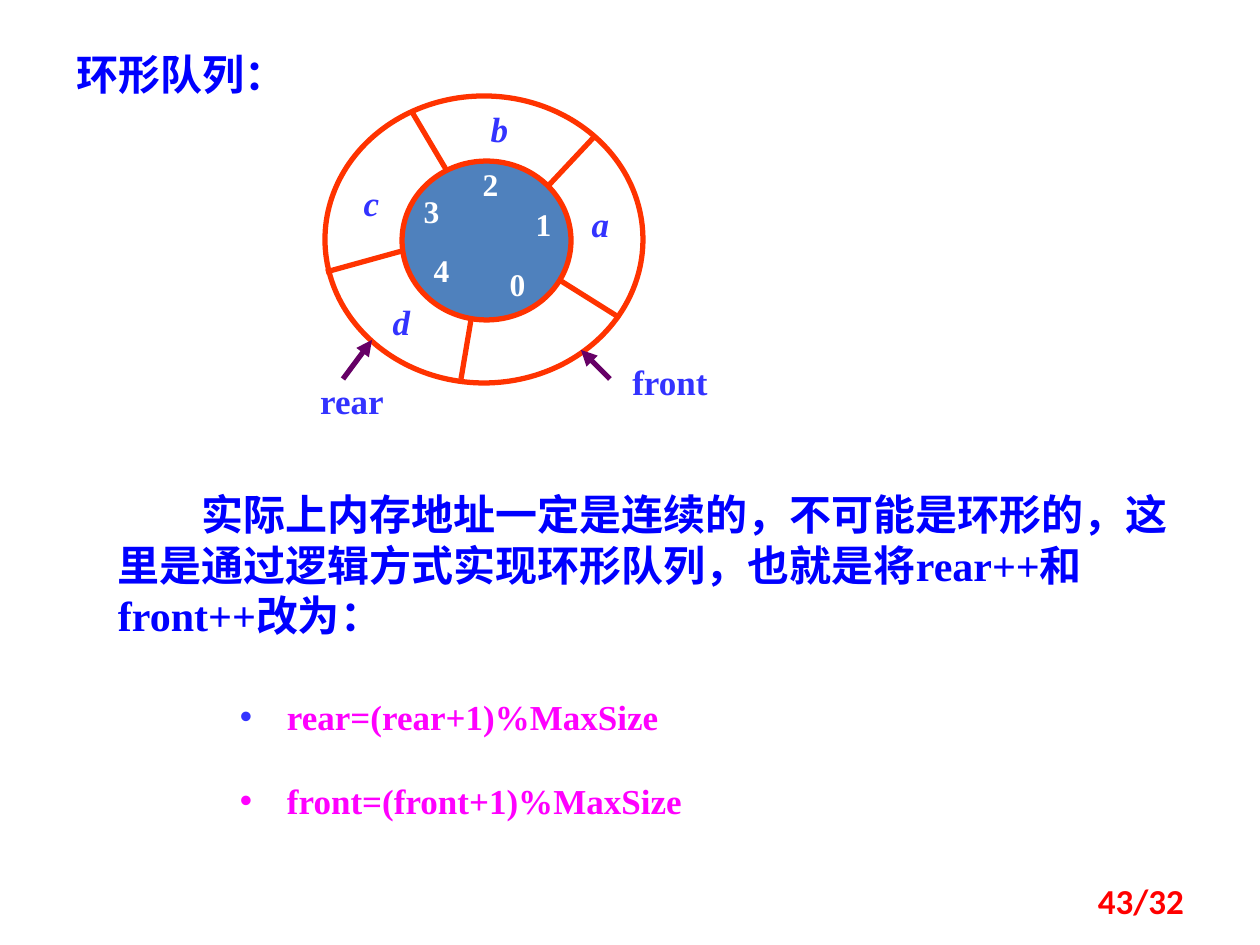
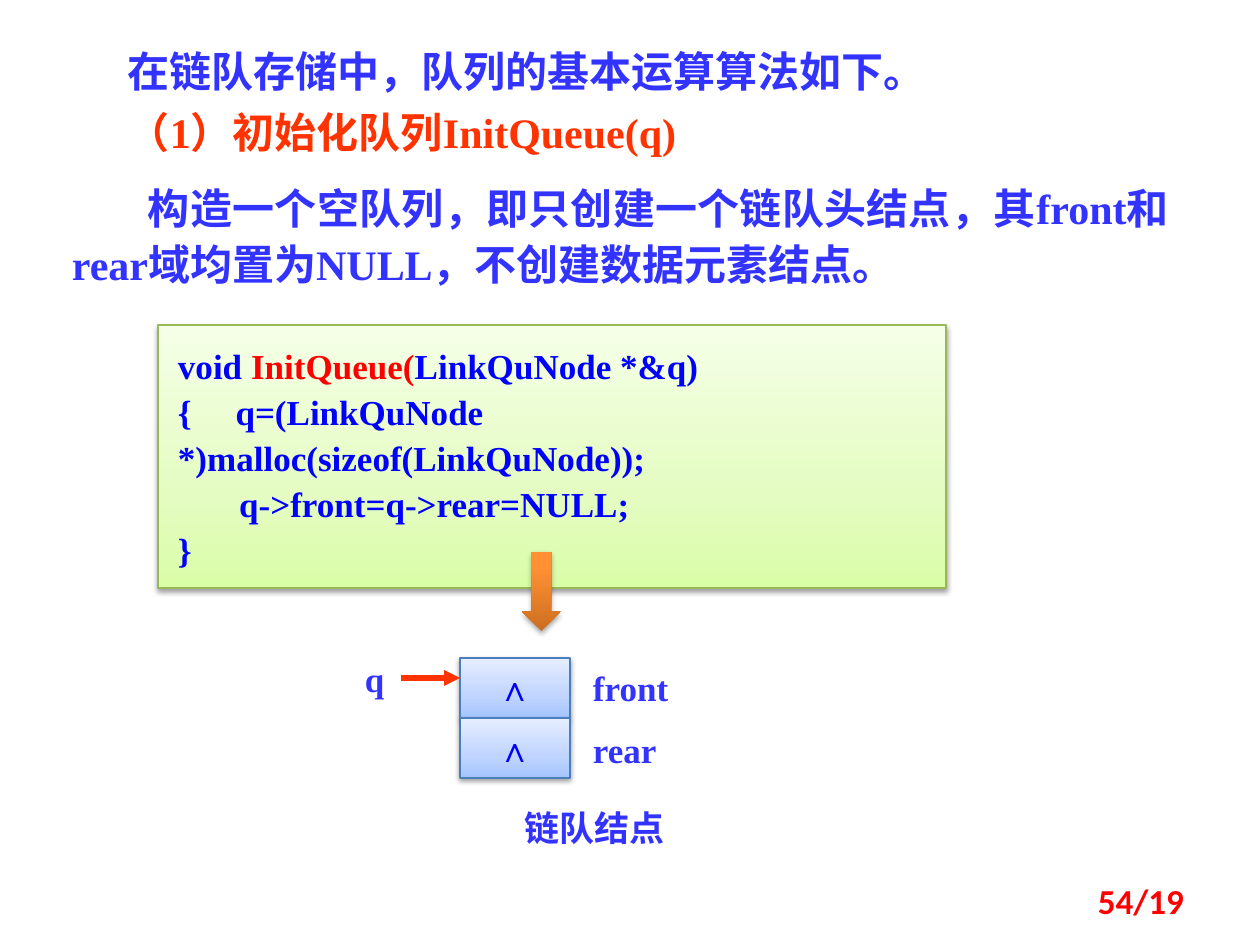
"""Build two slides on circular and linked queues."""
from dataclasses import dataclass

from lxml import etree
from pptx import Presentation
from pptx.dml.color import RGBColor
from pptx.enum.shapes import MSO_CONNECTOR, MSO_SHAPE
from pptx.enum.text import MSO_ANCHOR, PP_ALIGN
from pptx.oxml.ns import qn
from pptx.util import Emu, Pt

LEFT, CENTER, RIGHT, JUSTIFY = PP_ALIGN.LEFT, PP_ALIGN.CENTER, PP_ALIGN.RIGHT, PP_ALIGN.JUSTIFY
TOP, MIDDLE = MSO_ANCHOR.TOP, MSO_ANCHOR.MIDDLE
ELLIPSE, RECTANGLE, DOWN_ARROW = MSO_SHAPE.OVAL, MSO_SHAPE.RECTANGLE, MSO_SHAPE.DOWN_ARROW
STRAIGHT = MSO_CONNECTOR.STRAIGHT
PX_PER_INCH = 126
SERIF, SANS, CHINESE = "Times New Roman", "Calibri", "Noto Sans CJK SC"
COLORS = {
    "blue": "0000FF", "violet": "3333FF", "orange": "FF3300", "red": "FF0000",
    "magenta": "FF00FF", "purple": "660066", "white": "FFFFFF", "black": "000000",
    "steel": "4F81BD", "cell_line": "4B7EBC", "code_line": "98B955",
}
CODE_FILL = ((0, "DAFDA7"), (35, "E4FCC2"), (100, "F5FFE7"))
CELL_FILL = ((0, "A4C4FF"), (35, "BFD4FF"), (100, "E6EEFF"))
ARROW_FILL = ((0, "CC6E20"), (80, "FF9034"), (100, "FF9136"))


@dataclass(frozen=True)
class Box:
    """A rectangle in px."""
    left: int
    top: int
    width: int
    height: int

    def emu(self) -> tuple:
        """Return the four lengths in EMU."""
        return tuple(map(px, (self.left, self.top, self.width, self.height)))


@dataclass(frozen=True)
class Span:
    """A piece of text in one colour."""
    text: str
    color: str


@dataclass(frozen=True)
class Para:
    """A paragraph with its layout; indents are in px and gaps in points."""
    spans: tuple
    align: PP_ALIGN = LEFT
    spacing: float = 1.0
    before: float = 0
    indent: int = 0
    bullet: str = ""


@dataclass(frozen=True)
class Style:
    """The character style of a box."""
    size: int = 20
    font: str = SERIF
    italic: bool = False


@dataclass(frozen=True)
class Line:
    """A straight line, with an arrowhead at its end if wanted."""
    start: tuple
    end: tuple
    color: str = "orange"
    arrow: bool = False


@dataclass(frozen=True)
class Label:
    """A short centred text without insets."""
    text: str
    box: Box
    color: str = "violet"
    style: Style = Style()


HEADING = Style(24)
DIGIT = Style(18)
ITEM = Style(20, SERIF, True)
SPOKES = (
    Line((561, 281), (620, 318)), Line((549, 185), (595, 136)),
    Line((412, 112), (447, 171)), Line((471, 320), (461, 379)),
    Line((326, 272), (402, 251)),
)
POINTERS = (
    Line((610, 379), (581, 350), "purple", True),
    Line((343, 379), (372, 340), "purple", True),
)
INDEX_PLACES = ((498, 265), (524, 205), (471, 165), (412, 192), (422, 251))
ITEM_PLACES = {"a": (581, 202), "b": (480, 107), "c": (352, 181), "d": (382, 300)}
RING_LABELS = (
    *(Label(str(index), Box(*place, 39, 38), "white", DIGIT)
      for index, place in enumerate(INDEX_PLACES)),
    *(Label(item, Box(*place, 39, 42), style=ITEM) for item, place in ITEM_PLACES.items()),
    Label("front", Box(620, 360, 100, 42)),
    Label("rear", Box(302, 379, 100, 42)),
)


def px(length: int) -> Emu:
    """Turn px into EMU."""
    return Emu(round(length * 914400 / PX_PER_INCH))


def rgb(name: str) -> RGBColor:
    """Return a named colour."""
    return RGBColor.from_string(COLORS[name])


def add_color(parent: etree._Element, value: str) -> etree._Element:
    """Append an RGB colour element."""
    return etree.SubElement(parent, qn("a:srgbClr"), val=value)


def plain(text: str, color: str, **layout) -> Para:
    """Return a paragraph of one colour."""
    return Para((Span(text, color),), **layout)


def add_bullet(paragraph, para: Para) -> None:
    """Hang a bullet in the colour of the paragraph's text."""
    properties = paragraph._p.get_or_add_pPr()
    properties.set("marL", str(px(para.indent)))
    properties.set("indent", str(-px(para.indent)))
    add_color(etree.SubElement(properties, qn("a:buClr")), COLORS[para.bullet])
    etree.SubElement(properties, qn("a:buFont"), typeface="Arial")
    etree.SubElement(properties, qn("a:buChar"), char="•")


def write(shape, paras: tuple, style: Style = Style(), insets: tuple = (13, 6),
          anchor: MSO_ANCHOR = TOP, wrap: bool = True) -> None:
    """Fill a shape with formatted paragraphs."""
    frame = shape.text_frame
    frame.word_wrap = wrap
    frame.vertical_anchor = anchor
    frame.margin_left = frame.margin_right = px(insets[0])
    frame.margin_top = frame.margin_bottom = px(insets[1])
    for index, para in enumerate(paras):
        paragraph = frame.add_paragraph() if index else frame.paragraphs[0]
        paragraph.alignment = para.align
        paragraph.line_spacing = para.spacing
        if index and para.before:
            paragraph.space_before = Pt(para.before)
        if para.bullet:
            add_bullet(paragraph, para)
        elif para.indent:
            paragraph._p.get_or_add_pPr().set("indent", str(px(para.indent)))
        for span in para.spans:
            run = paragraph.add_run()
            run.text = span.text
            font = run.font
            font.size, font.name = Pt(style.size), style.font
            font.bold, font.italic = True, style.italic
            font.color.rgb = rgb(span.color)
            etree.SubElement(run._r.get_or_add_rPr(), qn("a:ea"), typeface=CHINESE)


def add_text(page, box: Box, *paras: Para, **options) -> None:
    """Add a text box."""
    write(page.shapes.add_textbox(*box.emu()), paras, **options)


def add_label(page, label: Label) -> None:
    """Add a centred label."""
    add_text(page, label.box, plain(label.text, label.color, align=CENTER),
             style=label.style, insets=(0, 0))


def add_line(page, line: Line) -> None:
    """Add a straight line or arrow."""
    connector = page.shapes.add_connector(STRAIGHT, *map(px, line.start + line.end))
    connector.line.color.rgb = rgb(line.color)
    connector.line.width = Pt(3)
    properties = connector._element.spPr
    if line.arrow:
        etree.SubElement(properties.find(qn("a:ln")), qn("a:tailEnd"), type="triangle")
    etree.SubElement(properties, qn("a:effectLst"))


def add_figure(page, kind: MSO_SHAPE, box: Box, line: str = "", width: float = 0.75,
               fill: str = ""):
    """Add a preset shape without a shadow."""
    shape = page.shapes.add_shape(kind, *box.emu())
    shape.shadow.inherit = False
    if fill:
        shape.fill.solid()
        shape.fill.fore_color.rgb = rgb(fill)
    else:
        shape.fill.background()
    if line:
        shape.line.color.rgb = rgb(line)
        shape.line.width = Pt(width)
    else:
        shape.line.fill.background()
    return shape


def add_raised(page, kind: MSO_SHAPE, box: Box, stops: tuple, line: str = "",
               distance: int = 20000, opacity: int = 38):
    """Add a shape with an upward gradient and a soft shadow."""
    shape = add_figure(page, kind, box, line)
    shape.fill.gradient()
    properties = shape._element.spPr
    gradient = properties.find(qn("a:gradFill"))
    for child in list(gradient):
        gradient.remove(child)
    stop_list = etree.SubElement(gradient, qn("a:gsLst"))
    for position, value in stops:
        add_color(etree.SubElement(stop_list, qn("a:gs"), pos=str(position * 1000)), value)
    etree.SubElement(gradient, qn("a:lin"), ang="16200000", scaled="0")
    shadow = etree.SubElement(properties.find(qn("a:effectLst")), qn("a:outerShdw"),
                              blurRad="40000", dist=str(distance), dir="5400000",
                              rotWithShape="0")
    color = add_color(shadow, COLORS["black"])
    etree.SubElement(color, qn("a:alpha"), val=str(opacity * 1000))
    return shape


def add_page(deck, number: str):
    """Add a blank page with its number."""
    page = deck.slides.add_slide(deck.slide_layouts[6])
    add_text(page, Box(903, 876, 294, 50), plain(number, "red", align=RIGHT),
             style=Style(20, SANS), anchor=MIDDLE)
    return page


def build_ring_page(deck) -> None:
    """Build the page on the circular queue."""
    page = add_page(deck, "43/32")
    add_figure(page, ELLIPSE, Box(402, 161, 169, 159), "orange", 3, "steel")
    add_figure(page, ELLIPSE, Box(325, 96, 318, 287), "orange", 3)
    for line in SPOKES + POINTERS:
        add_line(page, line)
    for label in RING_LABELS:
        add_label(page, label)
    add_text(page, Box(64, 43, 377, 63), plain("环形队列：", "blue"), style=HEADING)
    add_text(page, Box(105, 483, 1096, 165), plain(
        "实际上内存地址一定是连续的，不可能是环形的，这里是通过逻辑方式实现环形队列，"
        "也就是将rear++和front++改为：", "blue", indent=84), style=HEADING)
    add_text(page, Box(227, 669, 669, 161), *(
        plain(f"{name}=({name}+1)%MaxSize", "magenta", spacing=1.5, before=11.5,
              indent=47, bullet=bullet)
        for name, bullet in (("rear", "violet"), ("front", "magenta"))))


def build_linked_page(deck) -> None:
    """Build the page on initialising the linked queue."""
    page = add_page(deck, "54/19")
    add_text(
        page, Box(59, 49, 1123, 257),
        plain("在链队存储中，队列的基本运算算法如下。", "violet",
              align=JUSTIFY, spacing=0.8, indent=56),
        plain("（1）初始化队列InitQueue(q)", "orange",
              align=JUSTIFY, spacing=0.8, before=12, indent=56),
        plain("构造一个空队列，即只创建一个链队头结点，其front和rear域均置为NULL，"
              "不创建数据元素结点。", "violet",
              align=JUSTIFY, spacing=1.1, before=12, indent=76),
        style=HEADING)
    signature = (Span("void ", "blue"), Span("InitQueue(", "red"),
                 Span("LinkQuNode *&q)", "blue"))
    body = ("{     q=(LinkQuNode *)malloc(sizeof(LinkQuNode));",
            "       q->front=q->rear=NULL;", "}")
    code = add_raised(page, RECTANGLE, Box(158, 325, 788, 263), CODE_FILL, "code_line")
    write(code, (Para(signature, spacing=1.1),
                 *(plain(text, "blue", spacing=1.1) for text in body)), insets=(20, 15))
    for row in range(2):
        cell = add_raised(page, RECTANGLE, Box(460, 658 + 60 * row, 110, 60),
                          CELL_FILL, "cell_line")
        write(cell, (plain("∧", "blue", align=CENTER),), anchor=MIDDLE, wrap=False)
    add_line(page, Line((401, 678), (460, 678), arrow=True))
    add_text(page, Box(345, 651, 59, 54), plain("q", "violet", align=CENTER))
    add_text(page, Box(580, 660, 189, 117),
             *(plain(name, "violet", before=11.5) for name in ("front", "rear")))
    add_text(page, Box(451, 800, 287, 54), plain("链队结点", "violet", align=CENTER),
             style=Style(20, CHINESE))
    add_raised(page, DOWN_ARROW, Box(522, 552, 39, 79), ARROW_FILL,
               distance=23000, opacity=35)


def main() -> None:
    """Build and save the deck."""
    deck = Presentation()
    deck.slide_width, deck.slide_height = px(1260), px(945)
    build_ring_page(deck)
    build_linked_page(deck)
    deck.save("out.pptx")


if __name__ == "__main__":
    main()
